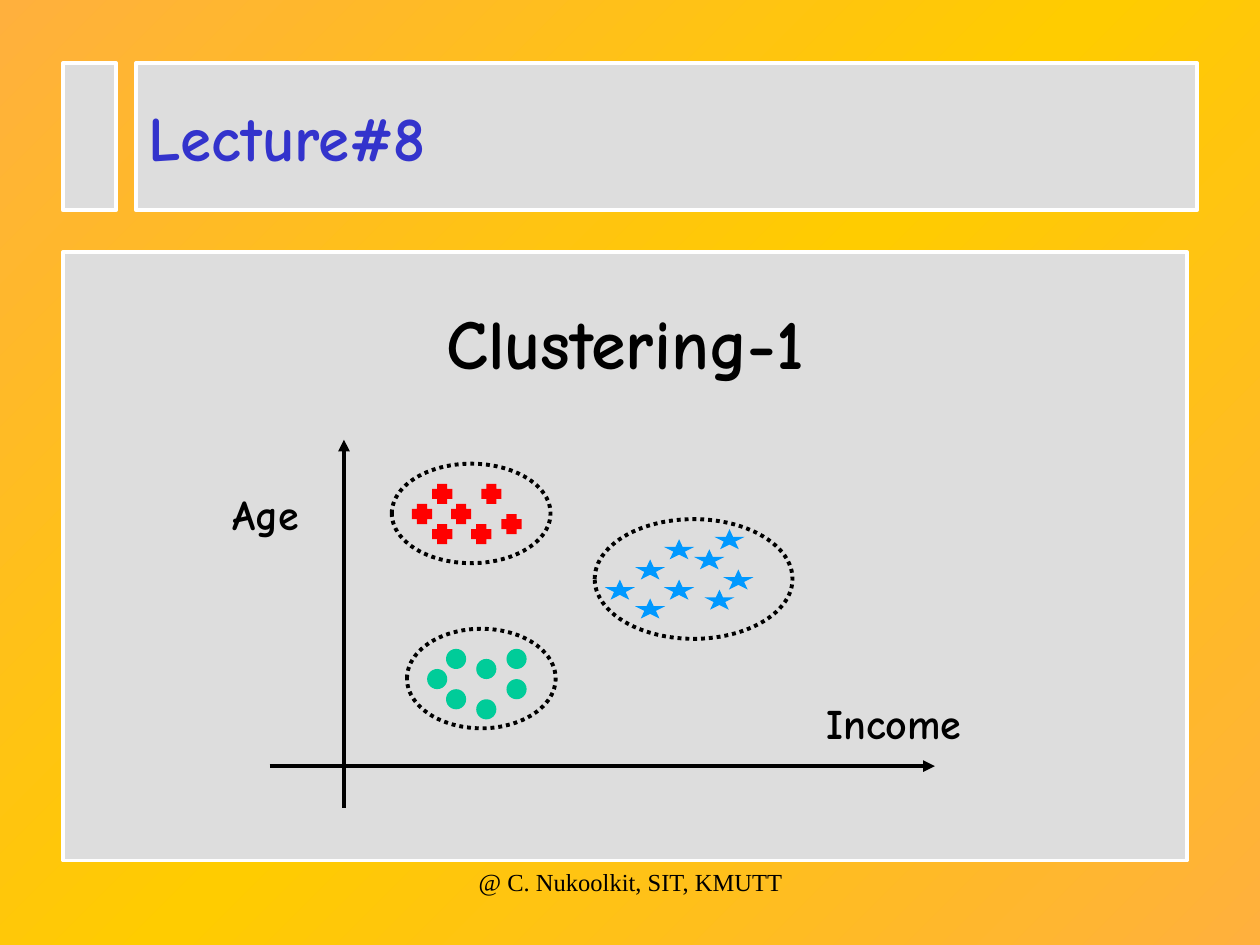
"""Build the title slide of a lecture on clustering."""
from copy import deepcopy

from lxml.etree import SubElement
from pptx import Presentation
from pptx.dml.color import RGBColor
from pptx.enum.dml import MSO_LINE
from pptx.enum.shapes import MSO_CONNECTOR, MSO_SHAPE
from pptx.enum.text import MSO_ANCHOR, MSO_AUTO_SIZE, PP_ALIGN
from pptx.oxml.ns import qn
from pptx.util import Inches, Pt

TITLE = ("Lecture#8", (1.08, 0.5, 8.42, 1.17))
PANELS = [(0.5, 2, 8.92, 4.83), (0.5, 0.5, 0.42, 1.17)]
BACKGROUND = [(0, "FFB03D"), (0.5, "FFCC00"), (1, "FFB03D")]
LABELS = [
    ("Clustering-1", (0.51, 2.33, 8.9, 0.77), 40),
    ("Age", (1.56, 3.83, 1.1, 0.5), 24),
    ("Income", (6.31, 5.49, 1.57, 0.5), 24),
]
FOOTER = ("@ C. Nukoolkit, SIT, KMUTT", (3.42, 6.83, 3.17, 0.5), 14)
AXES = [(2.73, 6.41, 2.73, 3.49), (2.14, 6.08, 7.42, 6.08)]
CLUSTERS = [
    {"marker": MSO_SHAPE.CROSS, "color": "FF0000", "size": (0.16, 0.16),
     "outline": (3.11, 3.68, 1.26, 0.79),
     "points": [(3.43, 3.84), (3.27, 4), (3.58, 4), (3.43, 4.16),
                (3.74, 4.16), (3.82, 3.84), (3.98, 4.08)]},
    {"marker": MSO_SHAPE.OVAL, "color": "00CC99", "size": (0.16, 0.16),
     "outline": (3.23, 4.99, 1.18, 0.79),
     "points": [(3.78, 5.23), (3.54, 5.15), (4.02, 5.39), (3.54, 5.47),
                (3.78, 5.55), (4.02, 5.15), (3.39, 5.31)]},
    {"marker": MSO_SHAPE.STAR_5_POINT, "color": "0099FF", "size": (0.24, 0.16),
     "outline": (4.72, 4.12, 1.57, 0.95),
     "points": [(5.51, 4.36), (5.04, 4.44), (5.27, 4.28), (4.8, 4.6), (5.74, 4.52),
                (5.67, 4.2), (5.27, 4.6), (5.59, 4.68), (5.04, 4.75)]},
]


def rgb(value):
    return RGBColor.from_string(value)


def inches(values):
    return [Inches(value) for value in values]


def paint(shape, fill=None, line=None, dash=None):
    if fill:
        shape.fill.solid()
        shape.fill.fore_color.rgb = rgb(fill)
    else:
        shape.fill.background()
    if line:
        shape.line.color.rgb = rgb(line)
        shape.line.width = Pt(2.25)
        shape.line.dash_style = dash
    else:
        shape.line.fill.background()


def add_figure(page, kind, place, **style):
    shape = page.shapes.add_shape(kind, *inches(place))
    shape.shadow.inherit = False
    paint(shape, **style)


def write(box, text, size, color="000000", name="Comic Neue", bold=True,
          align=PP_ALIGN.CENTER, anchor=MSO_ANCHOR.TOP):
    frame = box.text_frame
    frame.text = text
    settings = {"word_wrap": True, "auto_size": MSO_AUTO_SIZE.NONE, "vertical_anchor": anchor}
    for key, value in settings.items():
        setattr(frame, key, value)
    para = frame.paragraphs[0]
    para.alignment = align
    font = para.runs[0].font
    for key, value in {"size": Pt(size), "name": name, "bold": bold}.items():
        setattr(font, key, value)
    font.color.rgb = rgb(color)


def add_label(page, text, place, size, **style):
    write(page.shapes.add_textbox(*inches(place)), text, size, **style)


def add_axis(page, ends):
    axis = page.shapes.add_connector(MSO_CONNECTOR.STRAIGHT, *inches(ends))
    axis.line.color.rgb = rgb("000000")
    axis.line.width = Pt(2.25)
    SubElement(axis.line._get_or_add_ln(), qn("a:tailEnd"), type="triangle")
    SubElement(axis.element.spPr, qn("a:effectLst"))


def set_background(page):
    fill = page.background.fill
    fill.gradient()
    fill.gradient_angle = 135
    first = next(page.element.iter(qn("a:gs")))
    first.addnext(deepcopy(first))
    for stop, (position, color) in zip(fill.gradient_stops, BACKGROUND):
        stop.position = position
        stop.color.rgb = rgb(color)


def main():
    deck = Presentation()
    deck.slide_width, deck.slide_height = inches((10, 7.5))
    page = deck.slides.add_slide(deck.slide_layouts[5])
    set_background(page)

    text, place = TITLE
    title = page.shapes.title
    for key, value in zip(("left", "top", "width", "height"), inches(place)):
        setattr(title, key, value)
    paint(title, fill="DDDDDD", line="FFFFFF")
    write(title, text, 36, color="3333CC", align=PP_ALIGN.LEFT, anchor=MSO_ANCHOR.MIDDLE)

    for panel in PANELS:
        add_figure(page, MSO_SHAPE.RECTANGLE, panel, fill="DDDDDD", line="FFFFFF")
    for ends in AXES:
        add_axis(page, ends)
    for cluster in CLUSTERS:
        for point in cluster["points"]:
            add_figure(page, cluster["marker"], point + cluster["size"], fill=cluster["color"])
    for cluster in CLUSTERS:
        add_figure(page, MSO_SHAPE.OVAL, cluster["outline"],
                   line="000000", dash=MSO_LINE.ROUND_DOT)
    for label in LABELS:
        add_label(page, *label)
    add_label(page, *FOOTER, name="Times New Roman", bold=False)
    deck.save("out.pptx")


if __name__ == "__main__":
    main()
